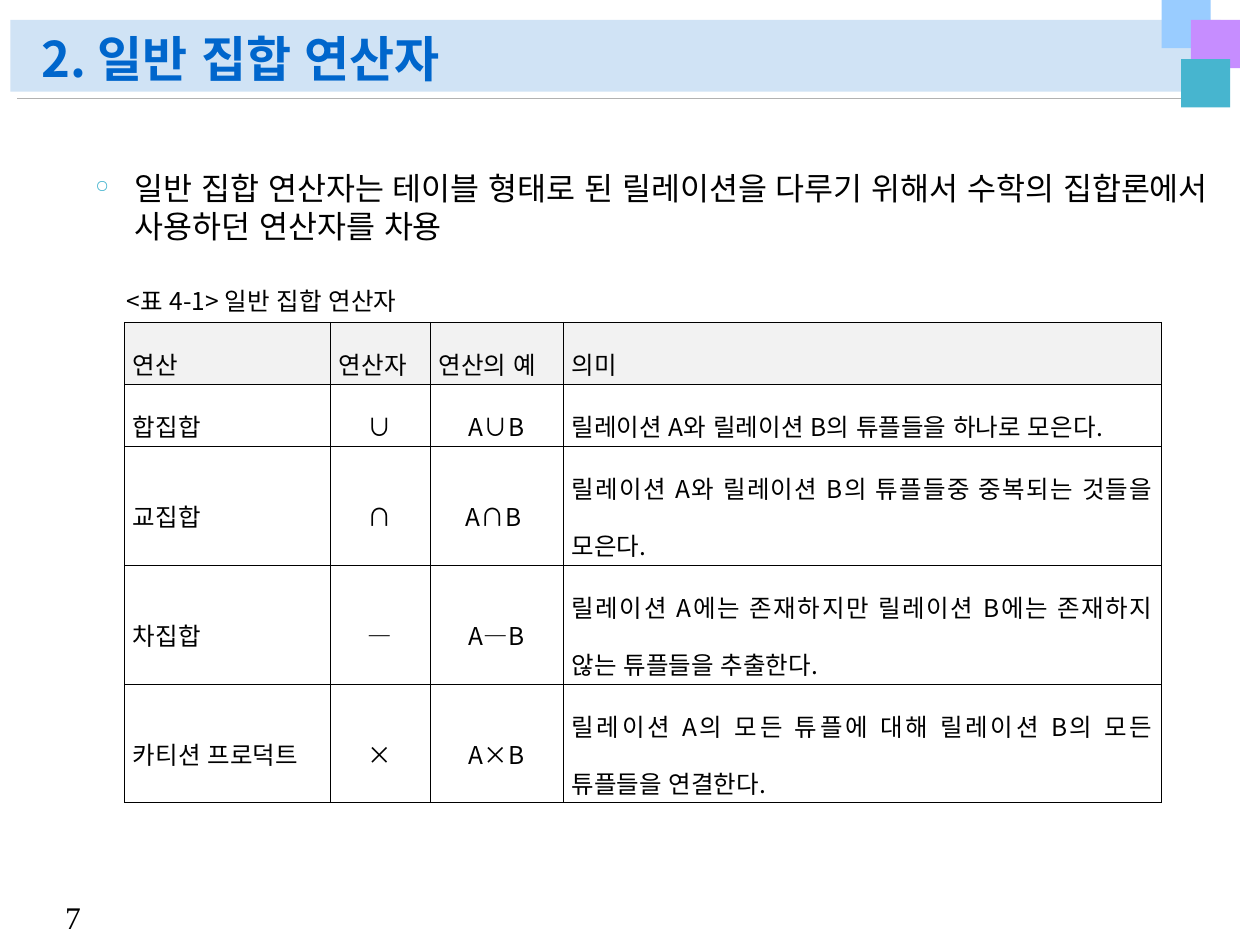
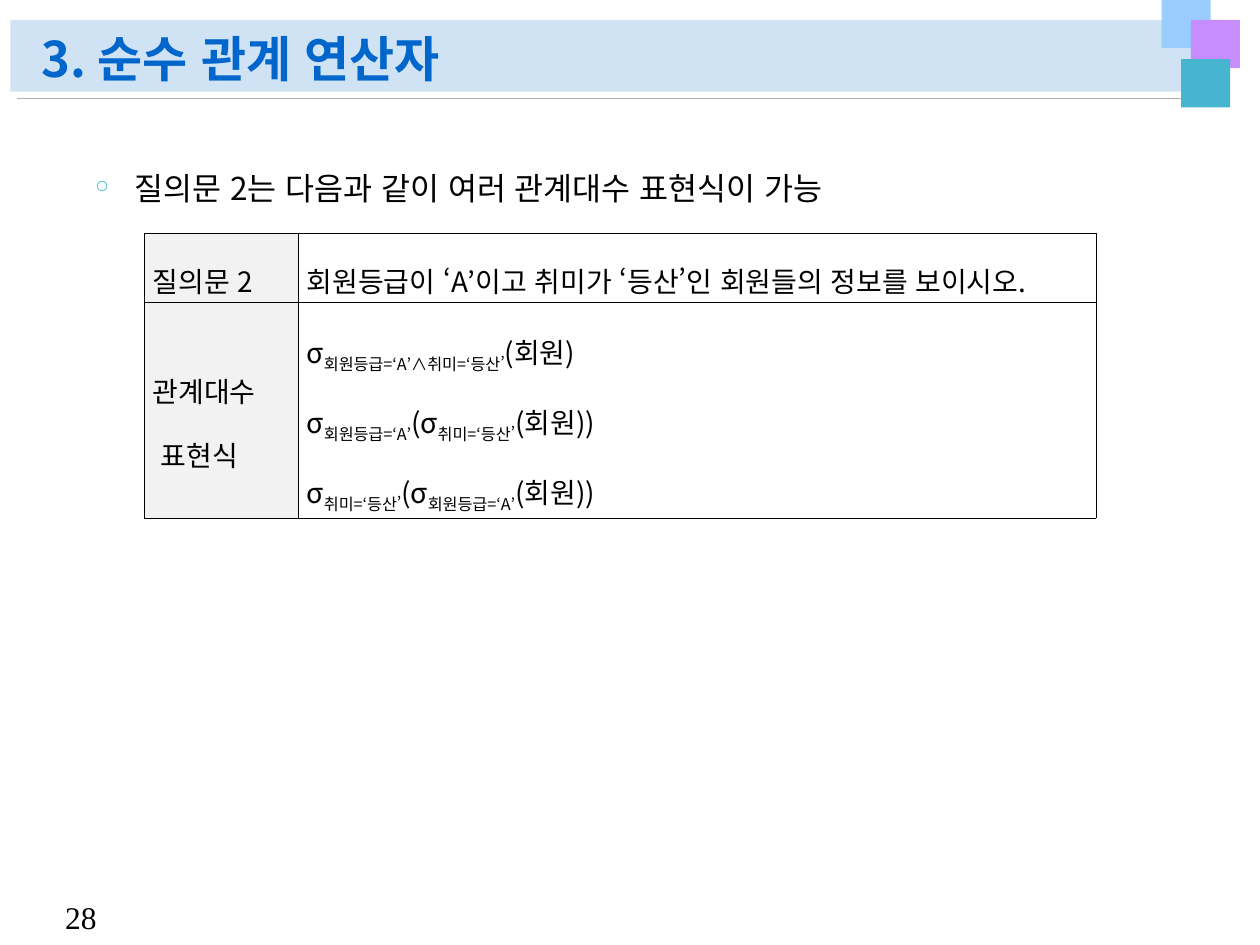
from collections import namedtuple

from lxml import etree
from pptx import Presentation
from pptx.dml.color import RGBColor
from pptx.enum import lang, shapes, text
from pptx.oxml import ns
from pptx.util import Pt

BLACK = RGBColor(0x00, 0x00, 0x00)
TITLE_BLUE = RGBColor(0x00, 0x66, 0xCC)
BAND_BLUE = RGBColor(0xD0, 0xE3, 0xF5)
RULE_GRAY = RGBColor(0xB2, 0xB2, 0xB2)
SKY = RGBColor(0x99, 0xCC, 0xFF)
VIOLET = RGBColor(0xC6, 0x8D, 0xFF)
TEAL = RGBColor(0x47, 0xB5, 0xCF)
HEADING_GRAY = RGBColor(0xF2, 0xF2, 0xF2)

KOREAN = "Noto Sans CJK KR"
SERIF = "Times New Roman"
LEFT, CENTER, JUSTIFY = text.PP_ALIGN.LEFT, text.PP_ALIGN.CENTER, text.PP_ALIGN.JUSTIFY
MIDDLE, BOTTOM = text.MSO_ANCHOR.MIDDLE, text.MSO_ANCHOR.BOTTOM

KOREAN_FONT = {"name": KOREAN, "language_id": lang.MSO_LANGUAGE_ID.KOREAN}
TITLE_FONT = {**KOREAN_FONT, "size": Pt(28), "bold": True}
BODY_FONT = {**KOREAN_FONT, "size": Pt(18)}
TABLE_FONT = {**KOREAN_FONT, "size": Pt(14)}
QUERY_FONT = {**KOREAN_FONT, "size": Pt(16)}
NUMBER_FONT = {"name": SERIF, "size": Pt(18)}
CELL_FORMAT = {
    "margin_left": Pt(5), "margin_right": Pt(5),
    "margin_top": Pt(1.4), "margin_bottom": Pt(1.4),
    "vertical_anchor": MIDDLE,
}

Box = namedtuple("Box", "left top width height")
Sub = namedtuple("Sub", "words")

PAGE = Box(0, 0, 720, 540)
HEADER = Box(6, 0, 703, 62)
POINT = Box(11.5, 93, 692, 60)
NUMBER = Box(30.2, 509.8, 36, 28.8)

OPERATORS = [
    ["연산", "연산자", "연산의 예", "의미"],
    ["합집합", "∪", "A∪B", "릴레이션 A와 릴레이션 B의 튜플들을 하나로 모은다."],
    ["교집합", "∩", "A∩B ", "릴레이션 A와 릴레이션 B의 튜플들중 중복되는 것들을 모은다."],
    ["차집합", "―", "A―B", "릴레이션 A에는 존재하지만 릴레이션 B에는 존재하지 않는 튜플들을 추출한다."],
    ["카티션 프로덕트", "×", "A×B", "릴레이션 A의 모든 튜플에 대해 릴레이션 B의 모든 튜플들을 연결한다."],
]
GRADE, HOBBY = "회원등급=‘A’", "취미=‘등산’"
EXPRESSIONS = [
    ["σ", Sub(GRADE + "∧" + HOBBY), "(회원)"],
    ["σ", Sub(GRADE), "(σ", Sub(HOBBY), "(회원))"],
    ["σ", Sub(HOBBY), "(σ", Sub(GRADE), "(회원))"],
]


def apply(target, values):
    for name, value in values.items():
        setattr(target, name, value)


def pts(*lengths):
    return [Pt(length) for length in lengths]


def add_run(paragraph, part, font, color):
    run = paragraph.add_run()
    run.text = part.words if isinstance(part, Sub) else part
    apply(run.font, font)
    run.font.color.rgb = color
    properties = run._r.get_or_add_rPr()
    etree.SubElement(properties, ns.qn("a:ea"), typeface=font["name"])
    if isinstance(part, Sub):
        properties.set("baseline", "-25000")


def write(frame, lines, font, color=BLACK, **layout):
    for index, line in enumerate(lines):
        paragraph = frame.paragraphs[0] if index == 0 else frame.add_paragraph()
        apply(paragraph, layout)
        paragraph._p.get_or_add_pPr().set("hangingPunct", "0")
        for part in line if isinstance(line, list) else [line]:
            add_run(paragraph, part, font, color)


def add_words(slide, box, words, font, color=BLACK, anchor=text.MSO_ANCHOR.TOP, **layout):
    frame = slide.shapes.add_textbox(*pts(*box)).text_frame
    apply(frame, {"word_wrap": True, "vertical_anchor": anchor})
    write(frame, [words], font, color, **layout)
    return frame.paragraphs[0]


def add_block(slide, box, color):
    block = slide.shapes.add_shape(shapes.MSO_SHAPE.RECTANGLE, *pts(*box))
    block.shadow.inherit = False
    block.fill.solid()
    block.fill.fore_color.rgb = color
    block.line.fill.background()


def add_header(slide, box, title):
    left, top = box.left, box.top
    add_block(slide, Box(left, top + 11.4, box.width - 11.4, 41), BAND_BLUE)
    rule = slide.shapes.add_connector(
        shapes.MSO_CONNECTOR.STRAIGHT,
        *pts(left + box.width - 8, top + 56.2, left + 4, top + 56.2))
    rule.line.color.rgb = RULE_GRAY
    rule.line.width = Pt(0.5)
    etree.SubElement(rule._element.spPr, ns.qn("a:effectLst"))
    for dx, dy, color in ((657.8, 0, SKY), (674.6, 11.4, VIOLET), (669, 33.8, TEAL)):
        add_block(slide, Box(left + dx, top + dy, 28, 27.6), color)
    add_words(slide, Box(left + 10.6, top + 12.2, 646.6, 41.8), title, TITLE_FONT,
              TITLE_BLUE, BOTTOM, line_spacing=0.9)


def add_point(slide, box, words):
    paragraph = add_words(slide, box, words, BODY_FONT, line_spacing=1.0)
    properties = paragraph._p.get_or_add_pPr()
    indents = {"marL": Pt(58.3), "indent": -Pt(22.3)}
    for name, value in indents.items():
        properties.set(name, str(int(value)))
    color = etree.SubElement(properties, ns.qn("a:buClr"))
    etree.SubElement(color, ns.qn("a:srgbClr"), val=str(TEAL))
    etree.SubElement(properties, ns.qn("a:buSzPct"), val="55000")
    etree.SubElement(properties, ns.qn("a:buChar"), char="○")


def frame_cell(cell):
    properties = cell._tc.get_or_add_tcPr()
    for side in ("a:lnL", "a:lnR", "a:lnT", "a:lnB"):
        border = etree.SubElement(properties, ns.qn(side), w=str(int(Pt(0.28))))
        fill = etree.SubElement(border, ns.qn("a:solidFill"))
        etree.SubElement(fill, ns.qn("a:srgbClr"), val=str(BLACK))


def add_grid(slide, left, top, widths, heights):
    grid = slide.shapes.add_table(
        len(heights), len(widths), *pts(left, top, sum(widths), sum(heights))).table
    apply(grid, {"first_row": False, "horz_banding": False})
    for column, width in zip(grid.columns, widths):
        column.width = Pt(width)
    for row, height in zip(grid.rows, heights):
        row.height = Pt(height)
    return grid


def fill_cell(cell, lines, font, is_heading, align):
    apply(cell, CELL_FORMAT)
    frame_cell(cell)
    if is_heading:
        cell.fill.solid()
        cell.fill.fore_color.rgb = HEADING_GRAY
    else:
        cell.fill.background()
    write(cell.text_frame, lines, font, alignment=align, line_spacing=1.6)


def add_operator_table(slide, box):
    add_words(slide, Box(box.left - 5.7, box.top - 34.2, 193.7, 31),
              "<표 4-1> 일반 집합 연산자", TABLE_FONT, line_spacing=1.6)
    narrow = [117.7, 57, 76]
    single = 35.4
    double = (box.height - 2 * single) / 3
    grid = add_grid(slide, box.left, box.top, narrow + [box.width - sum(narrow)],
                    [single] * 2 + [double] * 3)
    for row, entries in enumerate(OPERATORS):
        for column, entry in enumerate(entries):
            align = CENTER if row > 0 and column in (1, 2) else JUSTIFY
            fill_cell(grid.cell(row, column), [entry], TABLE_FONT, row == 0, align)


def add_query_table(slide, box):
    grid = add_grid(slide, box.left, box.top, [88, box.width - 88], [39.4, box.height - 39.4])
    question = "회원등급이 ‘A’이고 취미가 ‘등산’인 회원들의 정보를 보이시오."
    rows = [
        (["질의문 2"], [question], JUSTIFY),
        (["관계대수", " 표현식"], EXPRESSIONS, LEFT),
    ]
    for row, (label, content, align) in enumerate(rows):
        fill_cell(grid.cell(row, 0), label, QUERY_FONT, True, JUSTIFY)
        fill_cell(grid.cell(row, 1), content, QUERY_FONT, False, align)


def add_page(deck, title, point, number):
    slide = deck.slides.add_slide(deck.slide_layouts[6])
    add_header(slide, HEADER, title)
    add_words(slide, NUMBER, number, NUMBER_FONT)
    add_point(slide, POINT, point)
    return slide


def main():
    deck = Presentation()
    apply(deck, {"slide_width": Pt(PAGE.width), "slide_height": Pt(PAGE.height)})
    set_operators = add_page(
        deck, "2. 일반 집합 연산자",
        "일반 집합 연산자는 테이블 형태로 된 릴레이션을 다루기 위해서 "
        "수학의 집합론에서 사용하던 연산자를 차용", "7")
    add_operator_table(set_operators, Box(71, 184, 592.6, 274.8))
    relational_operators = add_page(
        deck, "3. 순수 관계 연산자",
        "질의문 2는 다음과 같이 여러 관계대수 표현식이 가능", "28")
    add_query_table(relational_operators, Box(82.4, 133.2, 544, 162.8))
    deck.save("out.pptx")


if __name__ == "__main__":
    main()
